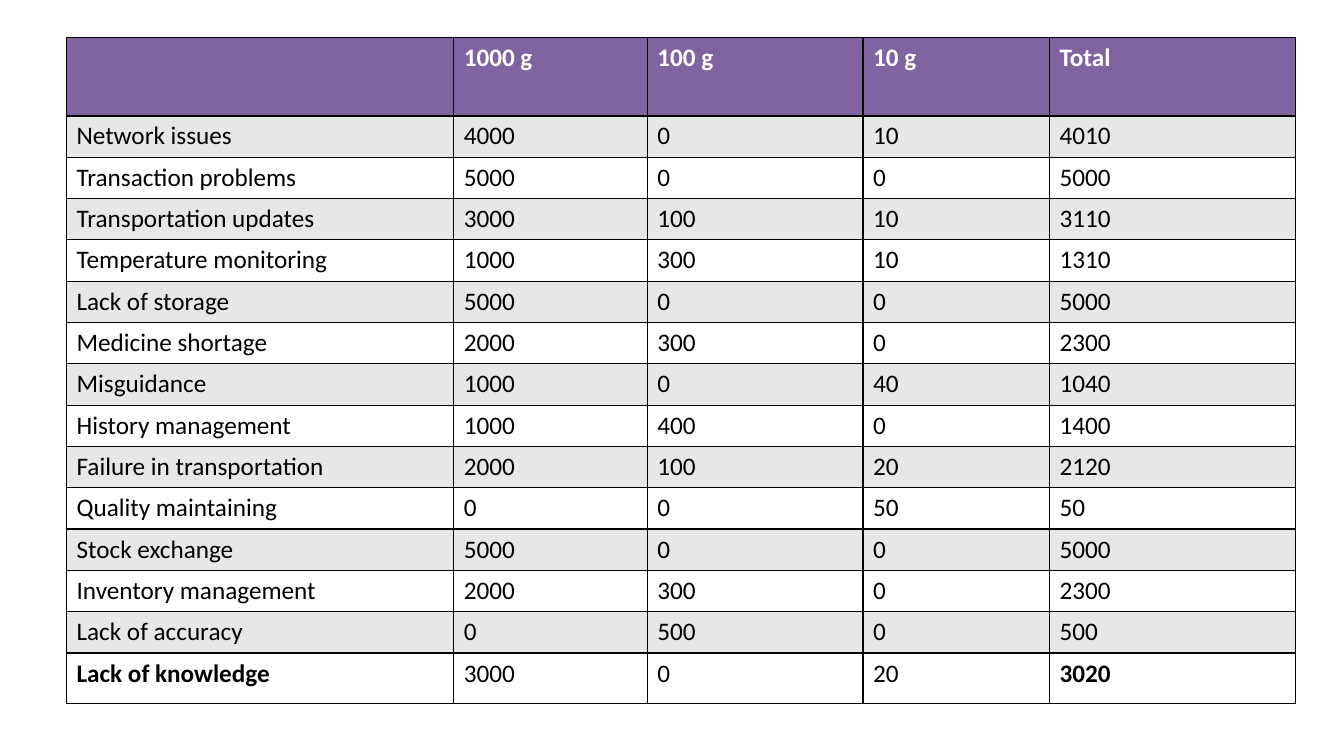
import lxml.etree
import pptx
import pptx.dml.color
import pptx.oxml.ns
import pptx.util

Inches = pptx.util.Inches

WEIGHTS = ["1000 g", "100 g", "10 g"]
ISSUES = [
    ("Network issues", 4000, 0, 10),
    ("Transaction problems", 5000, 0, 0),
    ("Transportation updates", 3000, 100, 10),
    ("Temperature monitoring", 1000, 300, 10),
    ("Lack of storage", 5000, 0, 0),
    ("Medicine shortage", 2000, 300, 0),
    ("Misguidance", 1000, 0, 40),
    ("History management", 1000, 400, 0),
    ("Failure in transportation", 2000, 100, 20),
    ("Quality maintaining", 0, 0, 50),
    ("Stock exchange", 5000, 0, 0),
    ("Inventory management", 2000, 300, 0),
    ("Lack of accuracy", 0, 500, 0),
    ("Lack of knowledge", 3000, 0, 20),
]
COLUMN_WIDTHS = [3.84, 1.92, 2.14, 1.85, 2.44]
HEADER_HEIGHT, ROW_HEIGHT, LAST_HEIGHT = 0.78, 0.41, 0.5


def rgb(color):
    return pptx.dml.color.RGBColor.from_string(color)


def add_borders(cell, color, width):
    """Draw all four cell edges; call before the fill, which must follow them in the XML."""
    qn = pptx.oxml.ns.qn
    tc_pr = cell._tc.get_or_add_tcPr()
    for edge in ("a:lnL", "a:lnR", "a:lnT", "a:lnB"):
        ln = lxml.etree.SubElement(tc_pr, qn(edge), w=str(pptx.util.Pt(width)))
        fill = lxml.etree.SubElement(ln, qn("a:solidFill"))
        lxml.etree.SubElement(fill, qn("a:srgbClr"), val=color)


def style_cell(cell, text, fill, color, bold):
    add_borders(cell, "000000", 1)
    cell.fill.solid()
    cell.fill.fore_color.rgb = rgb(fill)
    cell.text_frame.text = text
    for r in cell.text_frame.paragraphs[0].runs:
        r.font.name = "Calibri"
        r.font.size = pptx.util.Pt(18)
        r.font.bold = bold
        r.font.color.rgb = rgb(color)


def add_issue_table(s, left, top, width, height):
    rows = [["", *WEIGHTS, "Total"]]
    rows += [[name, *amounts, sum(amounts)] for name, *amounts in ISSUES]
    last = len(rows) - 1
    heights = [HEADER_HEIGHT] + [ROW_HEIGHT] * (last - 1) + [LAST_HEIGHT]

    table = s.shapes.add_table(len(rows), len(COLUMN_WIDTHS), Inches(left), Inches(top),
                               Inches(width), Inches(height)).table
    for column, column_width in zip(table.columns, COLUMN_WIDTHS):
        column.width = Inches(column_width)
    for i, (values, row_height) in enumerate(zip(rows, heights)):
        table.rows[i].height = Inches(row_height)
        header = i == 0
        fill = "8064A2" if header else "E7E7E7" if i % 2 else "FFFFFF"
        color = "FFFFFF" if header else "000000"
        for j, value in enumerate(values):
            bold = header or (i == last and j in (0, len(values) - 1))
            style_cell(table.cell(i, j), str(value), fill, color, bold)


def main():
    prs = pptx.Presentation()
    prs.slide_width, prs.slide_height = Inches(13.33), Inches(7.5)
    s = prs.slides.add_slide(prs.slide_layouts[6])
    add_issue_table(s, 0.66, 0.37, 12.2, 6.55)
    prs.save("out.pptx")


if __name__ == "__main__":
    main()
